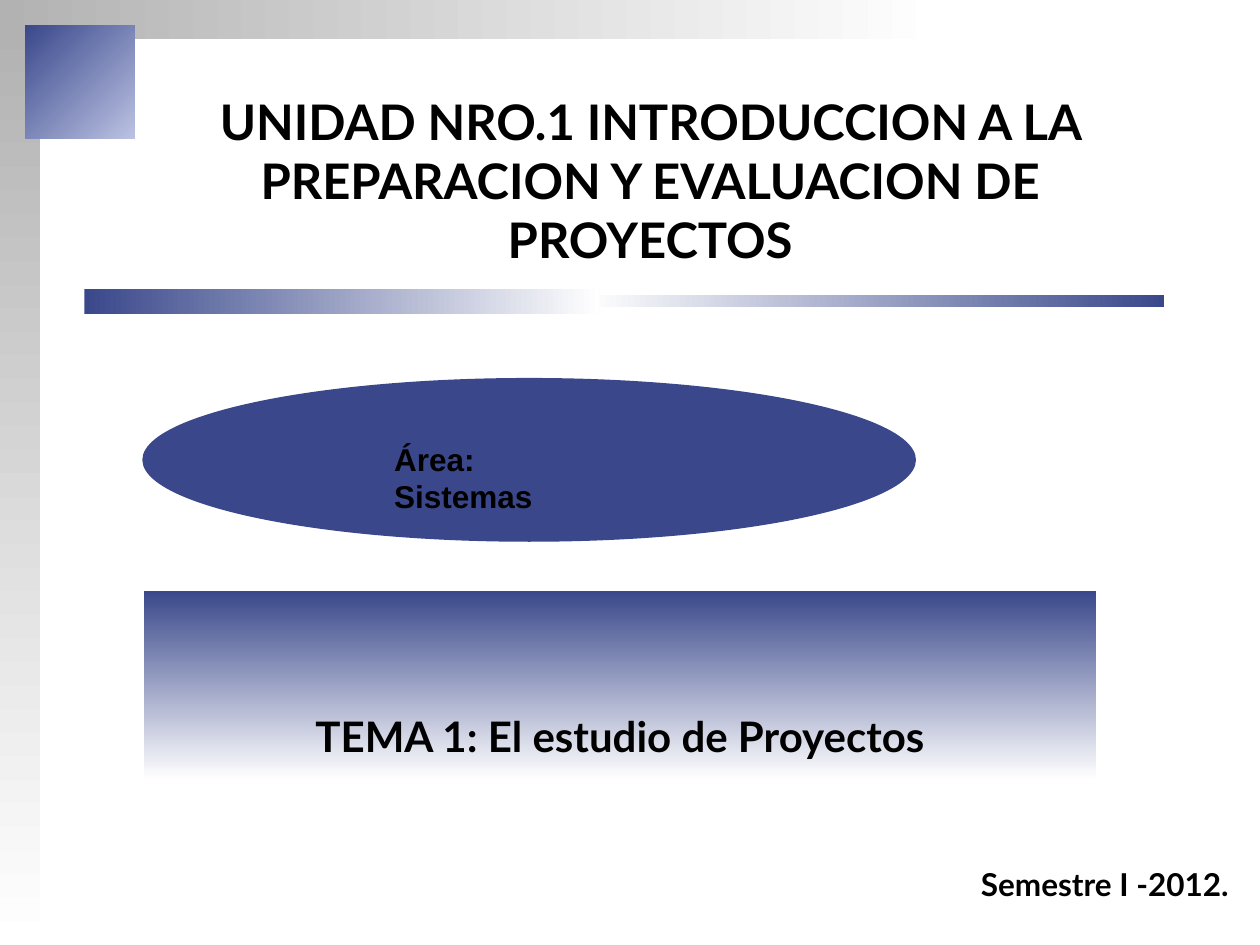
import pptx
import pptx.util
import pptx.dml.color
import pptx.enum.shapes
import pptx.enum.text

SCALE = 9144
HUES = {
    "navy": "3A488B",
    "pale": "BBC2E3",
    "gray": "B2B2B2",
    "white": "FFFFFF",
    "black": "000000",
}
KIND = pptx.enum.shapes.MSO_SHAPE
ALIGN = pptx.enum.text.PP_ALIGN
ANCHOR = pptx.enum.text.MSO_ANCHOR


def px(n):
    return pptx.util.Emu(n * SCALE)


def hue(name):
    return pptx.dml.color.RGBColor.from_string(HUES[name])


class Page:
    def __init__(self, slide, font):
        self.slide = slide
        self.font = font

    def shape(self, kind, box):
        item = self.slide.shapes.add_shape(kind, *map(px, box))
        item.shadow.inherit = False
        item.line.fill.background()
        return item

    def oval(self, box, tint):
        item = self.shape(KIND.OVAL, box)
        item.fill.solid()
        item.fill.fore_color.rgb = hue(tint)

    def fade(self, box, start, end, angle=0):
        item = self.shape(KIND.RECTANGLE, box)
        item.fill.gradient()
        item.fill.gradient_angle = -angle % 360
        for stop, tint in zip(item.fill.gradient_stops, (start, end)):
            stop.color.rgb = hue(tint)
        return item

    def label(self, item, words, size, align, font=None, wrap=True):
        frame = item.text_frame
        frame.word_wrap = wrap
        para = frame.paragraphs[0]
        para.alignment = align
        run = para.add_run()
        run.text = words
        run.font.name = font or self.font
        run.font.size = pptx.util.Pt(size)
        run.font.bold = True
        run.font.color.rgb = hue("black")
        return frame

    def text(self, box, words, size, align, font=None, wrap=True):
        item = self.slide.shapes.add_textbox(*map(px, box))
        self.label(item, words, size, align, font, wrap)


def main():
    deck = pptx.Presentation()
    deck.slide_width, deck.slide_height = px(1000), px(750)
    page = Page(deck.slides.add_slide(deck.slide_layouts[6]), "Lato")

    page.oval((113, 300, 614, 130), "navy")
    theme = page.fade((114, 469, 756, 150), "navy", "white", 90)
    frame = page.label(theme, "TEMA 1: El estudio de Proyectos", 24,
                       ALIGN.CENTER, wrap=False)
    frame.vertical_anchor = ANCHOR.BOTTOM
    frame.margin_bottom = px(15)

    page.fade((0, 0, 746, 31), "gray", "white")
    page.fade((0, 20, 32, 730), "gray", "white", 90)
    page.fade((20, 20, 87, 90), "navy", "pale", 45)
    page.fade((466, 234, 458, 10), "white", "navy")
    page.fade((67, 229, 409, 20), "navy", "white")

    page.text((138, 68, 756, 221),
              "UNIDAD NRO.1 INTRODUCCION A LA PREPARACION Y EVALUACION DE PROYECTOS",
              28, ALIGN.CENTER)
    page.text((524, 682, 461, 40), "Semestre I -2012.", 18, ALIGN.RIGHT)
    page.text((303, 344, 200, 40), "Área: Sistemas", 18, ALIGN.LEFT,
              font="Arial", wrap=False)

    deck.save("out.pptx")


if __name__ == "__main__":
    main()
